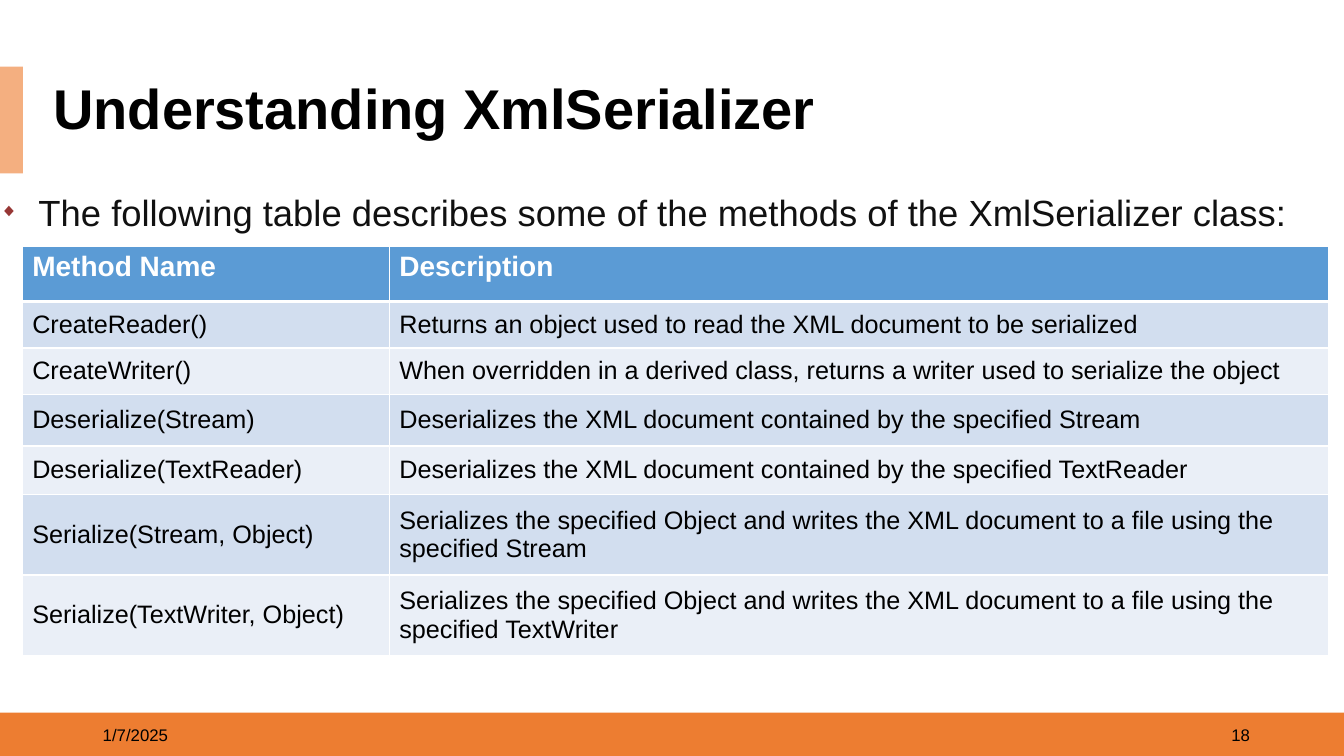
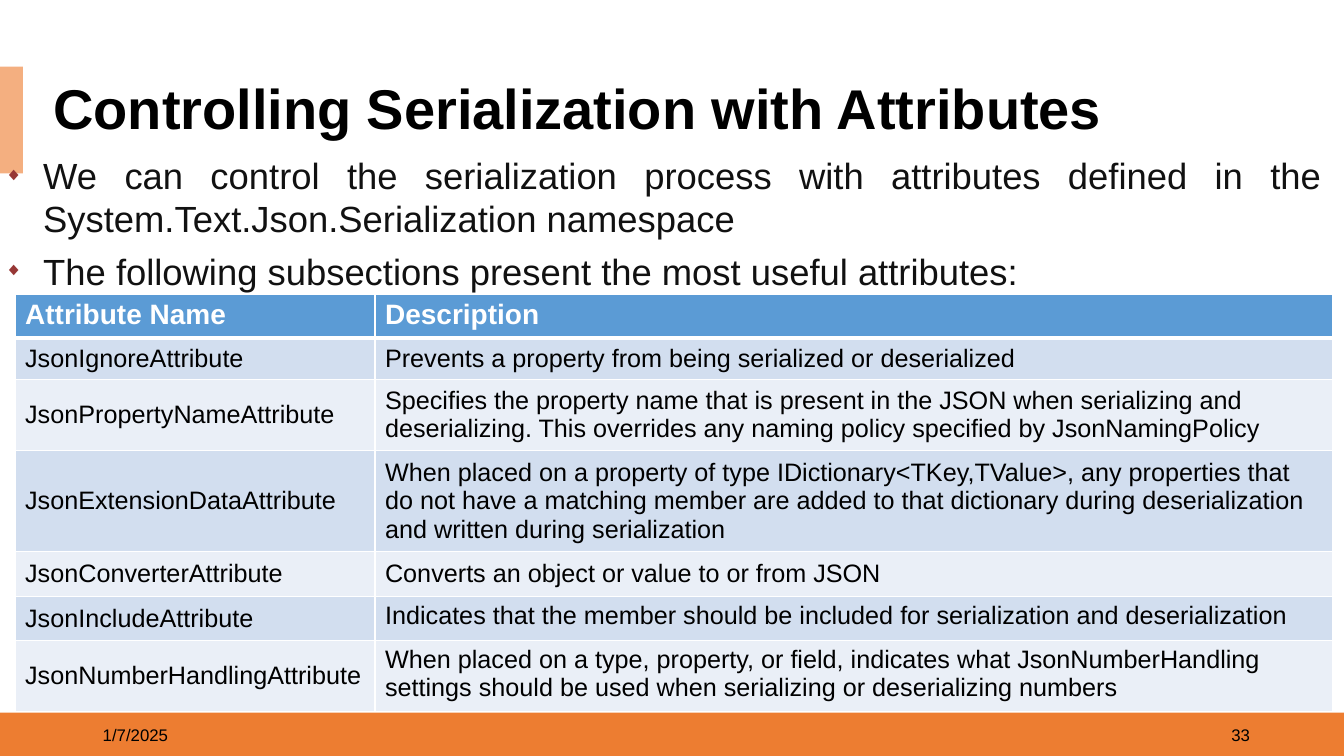
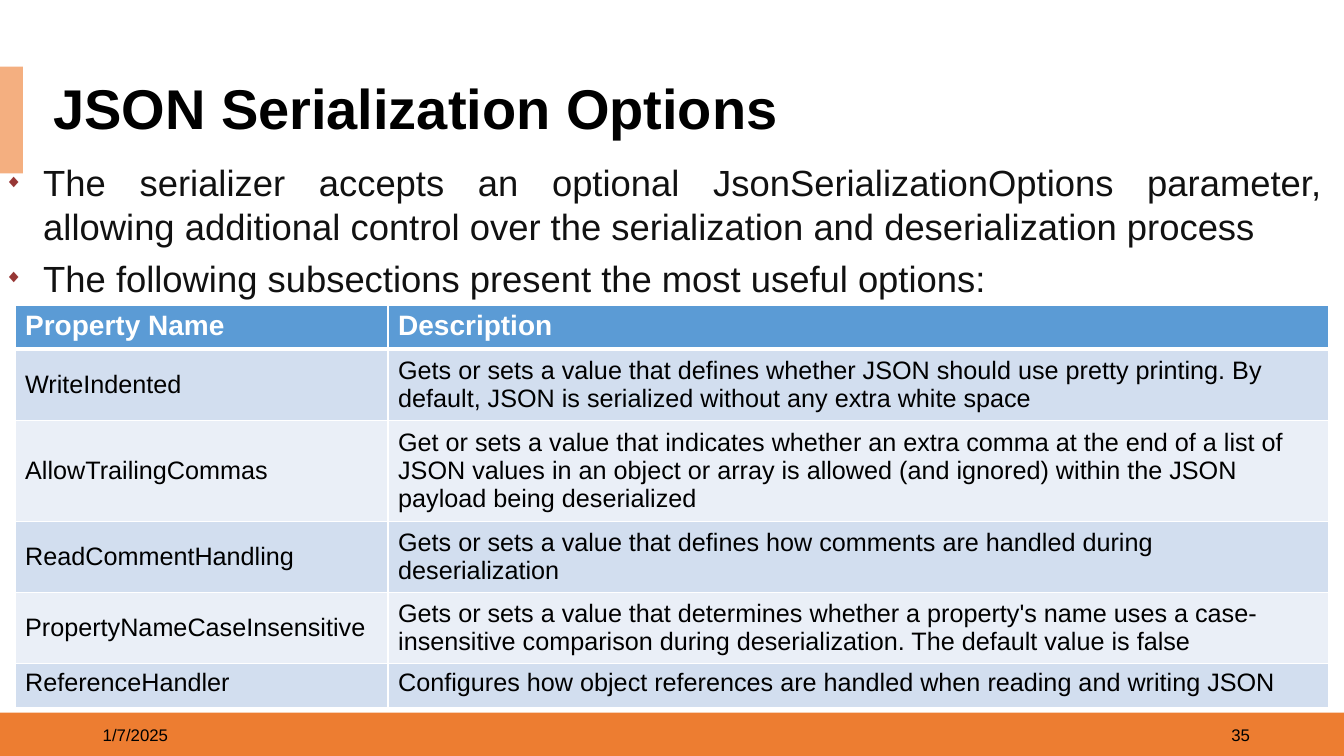
from dataclasses import dataclass

from lxml import etree
from pptx import Presentation
from pptx.dml.color import RGBColor
from pptx.enum import shapes, text
from pptx.oxml import ns
from pptx.util import Cm, Pt

ORANGE = RGBColor(0xED, 0x7D, 0x31)
PEACH = RGBColor(0xF4, 0xAF, 0x80)
BLUE = RGBColor(0x5B, 0x9B, 0xD5)
BAND_DARK = RGBColor(0xD2, 0xDE, 0xEF)
BAND_LIGHT = RGBColor(0xEA, 0xEF, 0xF7)
BULLET_RED = RGBColor(0x97, 0x37, 0x35)
BODY_INK = RGBColor(0x11, 0x11, 0x11)
BLACK = RGBColor(0, 0, 0)
WHITE = RGBColor(0xFF, 0xFF, 0xFF)

FONT = "Arial"
DATE = "1/7/2025"
SLIDE_WIDTH, SLIDE_HEIGHT = Cm(33.87), Cm(19.05)
FOOTER_TOP, FOOTER_WIDTH, FOOTER_HEIGHT = Cm(18.01), Cm(7.62), Cm(1.02)
HANGING_INDENT = Cm(0.97)
BULLET_TAB = Cm(0.66)

LEFT, RIGHT, JUSTIFY = text.PP_ALIGN.LEFT, text.PP_ALIGN.RIGHT, text.PP_ALIGN.JUSTIFY
TOP, MIDDLE = text.MSO_ANCHOR.TOP, text.MSO_ANCHOR.MIDDLE


@dataclass(frozen=True)
class Box:
    """A place on the slide, in centimetres."""
    left: float
    top: float
    width: float
    height: float

    def lengths(self) -> tuple:
        return Cm(self.left), Cm(self.top), Cm(self.width), Cm(self.height)


@dataclass(frozen=True)
class Row:
    height: float
    name: str
    description: str
    name_anchor: text.MSO_ANCHOR = MIDDLE
    description_anchor: text.MSO_ANCHOR = MIDDLE


@dataclass(frozen=True)
class Reference:
    """One slide: a title, introductory bullets and a two-column table."""
    number: int
    title: str
    intro_box: Box
    intro: tuple[str, ...]
    table_corner: tuple[float, float]
    column_widths: tuple[float, float]
    rows: tuple[Row, ...]
    line_spacing: float = 1.0


REFERENCES = (
    Reference(
        18, "Understanding XmlSerializer", Box(-0.25, 4.11, 33.68, 1.73),
        ("The following table describes some of the methods of the XmlSerializer class:",),
        (0.56, 6.2), (9.25, 23.67),
        (
            Row(1.4, "Method Name", "Description", TOP, TOP),
            Row(1.17, "CreateReader()",
                "Returns an object used to read the XML document to be serialized"),
            Row(1.17, "CreateWriter()",
                "When overridden in a derived class, returns a writer used to serialize the object"),
            Row(1.3, "Deserialize(Stream)",
                "Deserializes the XML document contained by the specified Stream"),
            Row(1.22, "Deserialize(TextReader)",
                "Deserializes the XML document contained by the specified TextReader"),
            Row(2.03, "Serialize(Stream, Object)",
                "Serializes the specified Object and writes the XML document to a file "
                "using the specified Stream"),
            Row(2.03, "Serialize(TextWriter, Object)",
                "Serializes the specified Object and writes the XML document to a file "
                "using the specified TextWriter"),
        ),
        line_spacing=1.5,
    ),
    Reference(
        33, "Controlling Serialization with Attributes", Box(-0.13, 3.73, 33.73, 3.81),
        ("We can control the serialization process with attributes defined in the "
         "System.Text.Json.Serialization namespace",
         "The following subsections present the most useful attributes:"),
        (0.38, 7.42), (9.07, 24.13),
        (
            Row(1.07, "Attribute Name", "Description", TOP, TOP),
            Row(1.04, "JsonIgnoreAttribute",
                "Prevents a property from being serialized or deserialized"),
            Row(1.79, "JsonPropertyNameAttribute",
                "Specifies the property name that is present in the JSON when serializing and "
                "deserializing. This overrides any naming policy specified by JsonNamingPolicy"),
            Row(2.55, "JsonExtensionDataAttribute",
                "When placed on a property of type IDictionary<TKey,TValue>, any properties that "
                "do not have a matching member are added to that dictionary during "
                "deserialization and written during serialization"),
            Row(1.12, "JsonConverterAttribute", "Converts an object or value to or from JSON"),
            Row(1.12, "JsonIncludeAttribute",
                "Indicates that the member should be included for serialization and "
                "deserialization", MIDDLE, TOP),
            Row(1.79, "JsonNumberHandlingAttribute",
                "When placed on a type, property, or field, indicates what JsonNumberHandling "
                "settings should be used when serializing or deserializing numbers", MIDDLE, TOP),
        ),
    ),
    Reference(
        35, "JSON Serialization Options", Box(-0.13, 3.91, 33.73, 3.81),
        ("The serializer accepts an optional JsonSerializationOptions parameter, allowing "
         "additional control over the serialization and deserialization process",
         "The following subsections present the most useful options:"),
        (0.38, 7.7), (9.4, 23.7),
        (
            Row(1.09, "Property Name", "Description", TOP, TOP),
            Row(1.79, "WriteIndented",
                "Gets or sets a value that defines whether JSON should use pretty printing. By "
                "default, JSON is serialized without any extra white space"),
            Row(2.55, "AllowTrailingCommas",
                "Get or sets a value that indicates whether an extra comma at the end of a list "
                "of JSON values in an object or array is allowed (and ignored) within the JSON "
                "payload being deserialized"),
            Row(1.79, "ReadCommentHandling",
                "Gets or sets a value that defines how comments are handled during "
                "deserialization"),
            Row(1.79, "PropertyNameCaseInsensitive",
                "Gets or sets a value that determines whether a property's name uses a "
                "case-insensitive comparison during deserialization. The default value is false"),
            Row(1.12, "ReferenceHandler",
                "Configures how object references are handled when reading and writing JSON",
                TOP, TOP),
        ),
    ),
)


def add_run(paragraph, words: str, size: int, color: RGBColor, bold: bool = False) -> None:
    run = paragraph.add_run()
    run.text = words
    run.font.name = FONT
    run.font.size = Pt(size)
    run.font.bold = bold
    run.font.color.rgb = color


def add_child(parent, tag: str, **attributes: str):
    return etree.SubElement(parent, ns.qn(tag), attributes)


def add_bands_to_layout(slide, layout) -> None:
    """Draw the two bands on a slide, then move them behind the layout's content."""
    for box, color in ((Box(0, 17.96, 33.87, 1.11), ORANGE), (Box(0, 1.68, 0.58, 2.69), PEACH)):
        band = slide.shapes.add_shape(shapes.MSO_SHAPE.RECTANGLE, *box.lengths())
        band.shadow.inherit = False
        band.fill.solid()
        band.fill.fore_color.rgb = color
        band.line.fill.background()
        layout.shapes.element.insert(2, band.element)


def add_footer(slide, left: float, words: str, alignment) -> None:
    footer = slide.shapes.add_textbox(Cm(left), FOOTER_TOP, FOOTER_WIDTH, FOOTER_HEIGHT)
    frame = footer.text_frame
    frame.word_wrap = True
    frame.vertical_anchor = MIDDLE
    frame.paragraphs[0].alignment = alignment
    add_run(frame.paragraphs[0], words, 12, BLACK)


def fill_title(slide, words: str) -> None:
    title = slide.shapes.title
    title.left, title.top, title.width, title.height = Box(1.09, 2.01, 30.99, 1.6).lengths()
    title.fill.solid()
    title.fill.fore_color.rgb = WHITE
    frame = title.text_frame
    frame.auto_size = text.MSO_AUTO_SIZE.NONE
    frame.vertical_anchor = MIDDLE
    heading = frame.paragraphs[0]
    heading.alignment = LEFT
    heading.line_spacing = 0.9
    add_run(heading, words, 40, BLACK, bold=True)


def add_bullet(paragraph) -> None:
    properties = paragraph._p.get_or_add_pPr()
    properties.set("marL", str(HANGING_INDENT))
    properties.set("indent", str(-HANGING_INDENT))
    add_child(add_child(properties, "a:buClr"), "a:srgbClr", val=str(BULLET_RED))
    add_child(properties, "a:buSzPct", val="50000")
    add_child(properties, "a:buFont", typeface=FONT)
    add_child(properties, "a:buChar", char="◆")
    add_child(add_child(properties, "a:tabLst"), "a:tab", pos=str(BULLET_TAB), algn="l")


def add_intro(slide, reference: Reference) -> None:
    frame = slide.shapes.add_textbox(*reference.intro_box.lengths()).text_frame
    frame.word_wrap = True
    for index, sentence in enumerate(reference.intro):
        paragraph = frame.add_paragraph() if index else frame.paragraphs[0]
        add_bullet(paragraph)
        paragraph.alignment = JUSTIFY
        paragraph.line_spacing = reference.line_spacing
        paragraph.space_before = Pt(3 if index else 0)
        paragraph.space_after = Pt(3)
        add_run(paragraph, sentence, 26, BODY_INK)


def add_borders(cell, row_index: int) -> None:
    """White rules; the heavy one under the header belongs to the header cells."""
    widths = {"a:lnL": 1, "a:lnR": 1, "a:lnT": 1, "a:lnB": 1 if row_index else 3}
    if row_index == 1:
        del widths["a:lnT"]
    properties = cell._tc.get_or_add_tcPr()
    for side, width in widths.items():
        rule = add_child(properties, side, w=str(Pt(width)))
        add_child(add_child(rule, "a:solidFill"), "a:srgbClr", val=str(WHITE))


def fill_cell(cell, row_index: int, words: str, anchor) -> None:
    is_header = row_index == 0
    add_borders(cell, row_index)
    cell.fill.solid()
    cell.fill.fore_color.rgb = BLUE if is_header else (BAND_LIGHT, BAND_DARK)[row_index % 2]
    cell.vertical_anchor = anchor
    paragraph = cell.text_frame.paragraphs[0]
    paragraph.alignment = JUSTIFY if is_header else LEFT
    add_run(paragraph, words, 20 if is_header else 18, WHITE if is_header else BLACK, is_header)


def add_reference_table(slide, reference: Reference) -> None:
    rows, widths = reference.rows, reference.column_widths
    box = Box(*reference.table_corner, sum(widths), sum(row.height for row in rows))
    table = slide.shapes.add_table(len(rows), len(widths), *box.lengths()).table
    table.horz_banding = False
    for column, width in zip(table.columns, widths):
        column.width = Cm(width)
    for index, row in enumerate(rows):
        table.rows[index].height = Cm(row.height)
        fill_cell(table.cell(index, 0), index, row.name, row.name_anchor)
        fill_cell(table.cell(index, 1), index, row.description, row.description_anchor)


def main() -> None:
    deck = Presentation()
    deck.slide_width, deck.slide_height = SLIDE_WIDTH, SLIDE_HEIGHT
    title_only = deck.slide_layouts.get_by_name("Title Only")
    for index, reference in enumerate(REFERENCES):
        slide = deck.slides.add_slide(title_only)
        if index == 0:
            add_bands_to_layout(slide, title_only)
        add_footer(slide, 2.34, DATE, LEFT)
        add_footer(slide, 24.13, str(reference.number), RIGHT)
        fill_title(slide, reference.title)
        add_intro(slide, reference)
        add_reference_table(slide, reference)
    deck.save("out.pptx")


if __name__ == "__main__":
    main()
